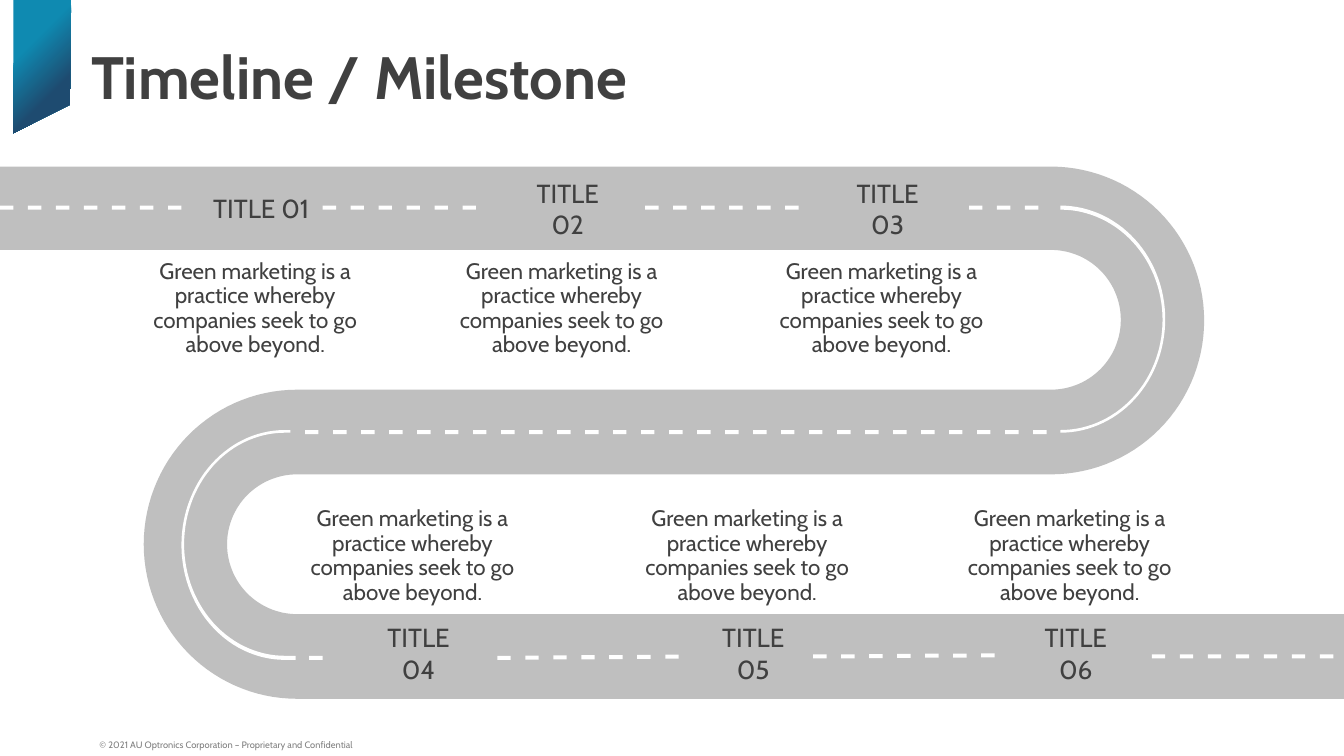
from math import cos, radians, sin

from pptx import Presentation
from pptx.dml.color import RGBColor
from pptx.enum.text import MSO_ANCHOR, PP_ALIGN
from pptx.util import Inches, Pt

TOP, MIDDLE, BOTTOM = MSO_ANCHOR.TOP, MSO_ANCHOR.MIDDLE, MSO_ANCHOR.BOTTOM
LEFT, CENTER = PP_ALIGN.LEFT, PP_ALIGN.CENTER
rgb = RGBColor.from_string


def arc(cx, top, bottom, rx, side):
    cy, ry = (top + bottom) / 2, (bottom - top) / 2
    angles = [radians(a) for a in range(-90, 91, 3)]
    return [(cx + side * rx * cos(a), cy + ry * sin(a)) for a in angles]


def outline(shapes, contours):
    contours = [[(Inches(x), Inches(y)) for x, y in c] for c in contours]
    fb = shapes.build_freeform(*contours[0][0])
    fb.add_line_segments(contours[0][1:], close=True)
    for c in contours[1:]:
        fb.move_to(*c[0])
        fb.add_line_segments(c[1:], close=True)
    sp = fb.convert_to_shape()
    sp.shadow.inherit = False
    sp.line.fill.background()
    return sp


prs = Presentation()
prs.slide_width = Inches(10)
prs.slide_height = Inches(10) * 9 // 16
s = prs.slides.add_slide(prs.slide_layouts[6])

ribbon = outline(s.shapes, [[(0.1, 0), (0.53, 0), (0.52, 0.78), (0.1, 0.99)]])
ribbon.fill.gradient()
ribbon.fill.gradient_angle = 315
stops = [(0.32, "0F8AB1"), (0.7, "1E4B70")]
for stop, (position, color) in zip(ribbon.fill.gradient_stops, stops):
    stop.position = position
    stop.color.rgb = rgb(color)

road = [(0, 1.24)] + arc(7.82, 1.24, 3.53, 1.14, 1)
road += arc(2.21, 3.53, 4.57, 0.52, -1) + [(10, 4.57), (10, 5.2)]
road += arc(2.21, 2.9, 5.2, 1.14, -1)[::-1]
road += arc(7.82, 1.86, 2.9, 0.52, 1)[::-1] + [(0, 1.86)]
sp = outline(s.shapes, [road])
sp.fill.solid()
sp.fill.fore_color.rgb = rgb("BFBFBF")

right_bend = arc(7.89, 1.53, 3.22, 0.78, 1) + arc(7.89, 1.56, 3.2, 0.76, 1)[::-1]
left_bend = [(2.16, 3.2)] + arc(2.12, 3.2, 4.91, 0.77, -1) + [(2.2, 4.91), (2.2, 4.88)]
left_bend += arc(2.12, 3.22, 4.88, 0.75, -1)[::-1] + [(2.16, 3.22)]
markings = [right_bend, left_bend]
dash_rows = [
    (0, 1.53, 7, 0), (2.4, 1.53, 6, 0), (4.8, 1.53, 6, 0), (7.21, 1.53, 3, 0),
    (2.27, 3.2, 27, 0), (2.3, 4.88, 1, 0),
    (3.7, 4.88, 7, 0.01), (6.05, 4.87, 7, 0.01), (8.57, 4.87, 7, 0),
]
for start, top, count, rise in dash_rows:
    for i in range(count):
        x = start + i * 1.25 / 6
        y = top - rise * i / count
        markings.append([(x, y), (x + 0.1, y), (x + 0.1, y + 0.03), (x, y + 0.03)])
sp = outline(s.shapes, markings)
sp.fill.solid()
sp.fill.fore_color.rgb = rgb("FFFFFF")

body = "Green marketing is a practice whereby companies seek to go above beyond."
milestones = [(1.08, 1.91, 1.38, TOP), (3.36, 1.91, 1.38, TOP), (5.74, 1.91, 1.38, TOP),
              (2.25, 3.75, 4.69, BOTTOM), (4.74, 3.75, 4.69, BOTTOM), (7.14, 3.75, 4.69, BOTTOM)]
texts = [
    ("© 2021 AU Optronics Corporation – Proprietary and Confidential",
     (0.66, 5.45, 3.75, 0.18), (0.08, 0.05), BOTTOM, LEFT, 0.8, "808080", {"size": Pt(5)}),
    ("Timeline / Milestone", (0.58, 0.25, 8.16, 1.28), (0.1, 0.05), TOP, LEFT, 1.0,
     "404040", {"size": Pt(32), "bold": True}),
]
for n, (x, body_top, title_top, anchor) in enumerate(milestones, 1):
    texts.append((body, (x, body_top, 1.64, 0.77), (0.04, 0.02), anchor, CENTER,
                  Pt(13.1), "404040", {"size": Pt(12)}))
    texts.append((f"TITLE {n:02}", (x + 0.4, title_top, 0.93, 0.34), (0.1, 0.05), MIDDLE,
                  CENTER, 1.0, "404040", {"size": Pt(14)}))

for text, box, (mx, my), anchor, align, spacing, color, font in texts:
    tf = s.shapes.add_textbox(*map(Inches, box)).text_frame
    frame = {"word_wrap": True, "vertical_anchor": anchor,
             "margin_left": Inches(mx), "margin_right": Inches(mx),
             "margin_top": Inches(my), "margin_bottom": Inches(my)}
    for name, value in frame.items():
        setattr(tf, name, value)
    p = tf.paragraphs[0]
    p.alignment = align
    p.line_spacing = spacing
    r = p.add_run()
    r.text = text
    r.font.color.rgb = rgb(color)
    for name, value in {"name": "Cabin", **font}.items():
        setattr(r.font, name, value)

prs.save("out.pptx")
